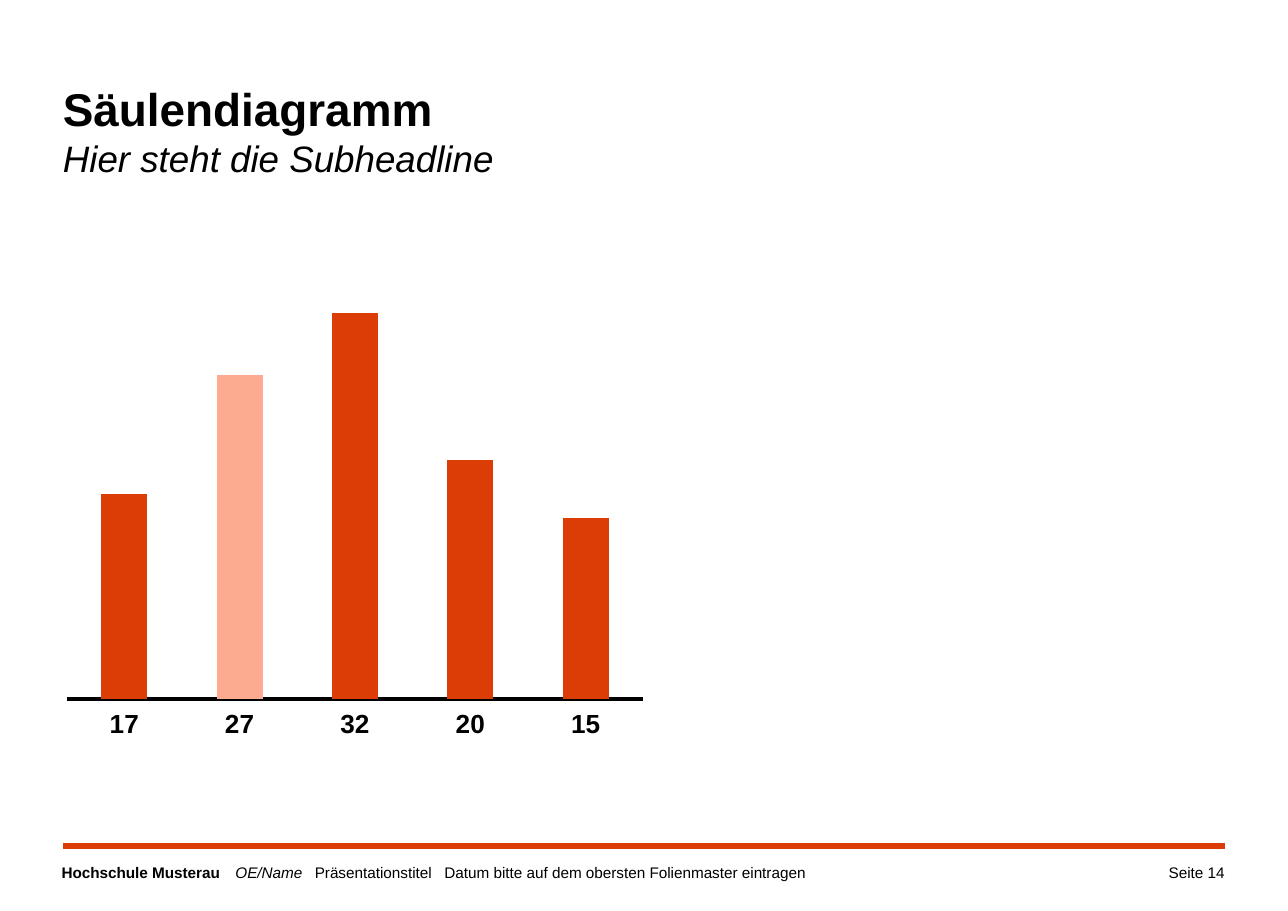
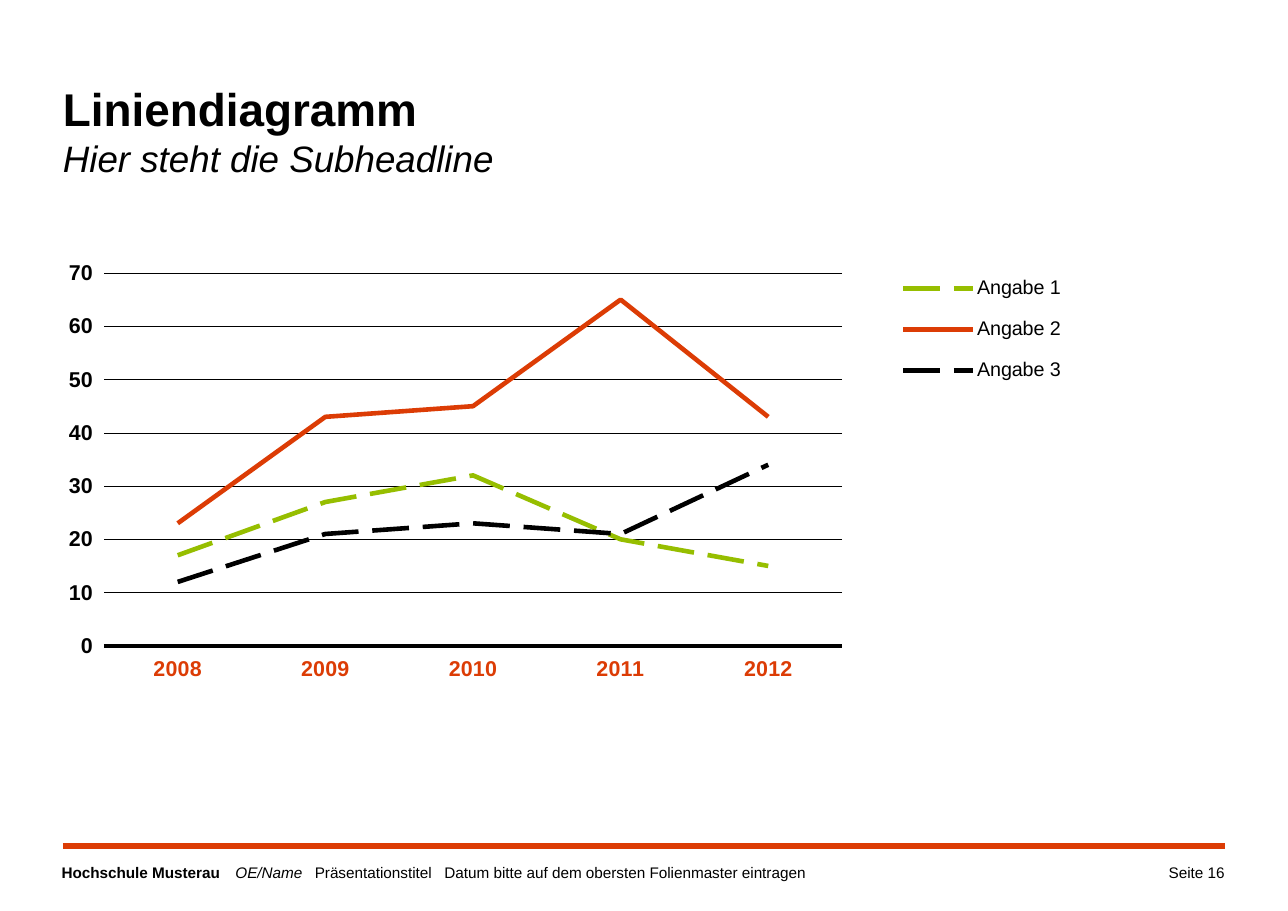
from lxml import etree
from pptx import Presentation
from pptx.chart.data import CategoryChartData as Data
from pptx.dml.color import RGBColor as Rgb
from pptx.enum.chart import XL_CHART_TYPE as Kind, XL_LEGEND_POSITION as Spot
from pptx.enum.chart import XL_TICK_LABEL_POSITION as Label, XL_TICK_MARK as Tick
from pptx.enum.dml import MSO_LINE as Dash
from pptx.enum.shapes import MSO_CONNECTOR as Link
from pptx.enum.text import MSO_ANCHOR as Anchor, MSO_AUTO_SIZE as Fit, PP_ALIGN as Align
from pptx.oxml.ns import qn
from pptx.util import Cm, Pt

INK = {"black": "000000", "red": "DC3C05", "pale": "FCAB90", "green": "96BE00"}
FONT = "Arial"
LEFT, RIGHT = 1.45, 28.24
FRAME = {"margin_left": 0, "margin_top": 0, "margin_right": 0, "margin_bottom": 0,
         "word_wrap": True, "auto_size": Fit.NONE, "vertical_anchor": Anchor.TOP}


def put(obj, **fmt):
    for key, value in fmt.items():
        setattr(obj, key, value)


def tint(name):
    return Rgb.from_string(INK[name])


def style(font, size, ink="black", bold=False, italic=False):
    put(font, name=FONT, size=Pt(size), bold=bold, italic=italic)
    font.color.rgb = tint(ink)


def stroke(line, ink, width, dash=None):
    line.color.rgb = tint(ink)
    put(line, width=Pt(width), dash_style=dash)


def write(para, text, size, **look):
    run = para.add_run()
    run.text = text
    style(run.font, size, **look)


def place(shape, x, y, w, h):
    put(shape, left=Cm(x), top=Cm(y), width=Cm(w), height=Cm(h))


def head(slide, title):
    shape = slide.shapes.title
    place(shape, LEFT, 1.85, RIGHT - LEFT, 2.64)
    put(shape.text_frame, **FRAME)
    para = shape.text_frame.paragraphs[0]
    put(para, alignment=Align.LEFT, line_spacing=1.0)
    write(para, title, 30, bold=True)
    para.add_line_break()
    write(para, "Hier steht die Subheadline", 24, italic=True)


def box(slide, x, w, align):
    frame = slide.shapes.add_textbox(Cm(x), Cm(19.91), Cm(w), Cm(0.62)).text_frame
    put(frame, **FRAME)
    para = frame.paragraphs[0]
    para.alignment = align
    return para


def stops(para, *spots):
    tabs = etree.SubElement(para._p.get_or_add_pPr(), qn("a:tabLst"))
    for spot in spots:
        etree.SubElement(tabs, qn("a:tab"), pos=str(Cm(spot)), algn="l")


def foot(slide, page):
    rule = slide.shapes.add_connector(
        Link.STRAIGHT, Cm(LEFT), Cm(19.51), Cm(RIGHT), Cm(19.51))
    stroke(rule.line, "red", 4)
    etree.SubElement(rule._element.spPr, qn("a:effectLst"))
    para = box(slide, 1.42, 21.44, Align.LEFT)
    stops(para, 4.01, 5.84, 8.83)
    write(para, "Hochschule Musterau\t", 10, bold=True)
    write(para, "OE/Name\t", 10, italic=True)
    write(para, "Präsentationstitel\tDatum bitte auf dem obersten Folienmaster eintragen", 10)
    write(box(slide, RIGHT - 3.4, 3.4, Align.RIGHT), f"Seite {page}", 10)


def fix(parent, index, area, inner=False):
    for old in parent.findall(qn("c:layout")):
        parent.remove(old)
    layout = etree.Element(qn("c:layout"))
    manual = etree.SubElement(layout, qn("c:manualLayout"))
    rows = [("layoutTarget", "inner")] if inner else []
    rows += [("xMode", "edge"), ("yMode", "edge"), *zip("xywh", area)]
    for tag, value in rows:
        etree.SubElement(manual, qn(f"c:{tag}"), val=str(value))
    parent.insert(index, layout)


def graph(slide, kind, spot, area, cats, rows, size, top, ink="black"):
    data = Data()
    data.categories = cats
    for name, values in rows:
        data.add_series(name, values)
    chart = slide.shapes.add_chart(kind, *map(Cm, spot), data).chart
    put(chart, has_title=False, has_legend=False)
    style(chart.font, size)
    chart.plots[0].vary_by_categories = False
    axis = chart.category_axis
    put(axis, major_tick_mark=Tick.NONE, minor_tick_mark=Tick.NONE,
        tick_label_position=Label.LOW, has_major_gridlines=False)
    style(axis.tick_labels.font, size, ink, bold=True)
    stroke(axis.format.line, "black", 3)
    put(chart.value_axis, minimum_scale=0, maximum_scale=top,
        has_major_gridlines=False)
    fix(chart._chartSpace.chart.plotArea, 0, area, inner=True)
    return chart


def bars(slide):
    chart = graph(slide, Kind.COLUMN_CLUSTERED, (1.19, 6.1, 13.94, 12.32),
                  (0.025, 0.026, 0.954, 0.787), ["17", "27", "32", "20", "15"],
                  [("Series 1", (53, 84, 100, 62, 47))], 17.1, 109)
    chart.value_axis.visible = False
    plot = chart.plots[0]
    plot.gap_width = 150
    row = plot.series[0]
    for item, ink in ((row, "red"), (row.points[1], "pale")):
        item.format.fill.solid()
        item.format.fill.fore_color.rgb = tint(ink)


def lines(slide):
    rows = [("Angabe 1", (17, 27, 32, 20, 15)),
            ("Angabe 2", (23, 43, 45, 65, 43)),
            ("Angabe 3", (12, 21, 23, 21, 34))]
    chart = graph(slide, Kind.LINE, (0.77, 5.08, 23.91, 10.95),
                  (0.068, 0.111, 0.712, 0.785),
                  [str(year) for year in range(2008, 2013)], rows, 14, 70, "red")
    chart.category_axis.tick_labels.offset = 0
    axis = chart.value_axis
    put(axis, major_unit=10, has_major_gridlines=True, major_tick_mark=Tick.OUTSIDE)
    style(axis.tick_labels.font, 14, bold=True)
    axis.format.line.fill.background()
    stroke(axis.major_gridlines.format.line, "black", 0.25)
    looks = (("green", Dash.LONG_DASH), ("red", None), ("black", Dash.LONG_DASH))
    for row, (ink, dash) in zip(chart.plots[0].series, looks):
        row.smooth = False
        stroke(row.format.line, ink, 3, dash)
    chart.has_legend = True
    put(chart.legend, position=Spot.RIGHT, include_in_layout=False)
    style(chart.legend.font, 12.9)
    fix(chart.legend._element, 1, (0.83, 0.08, 0.17, 0.3))


def main():
    deck = Presentation()
    put(deck, slide_width=Cm(29.7), slide_height=Cm(21))
    pages = (("Säulendiagramm", 14, bars), ("Liniendiagramm", 16, lines))
    for title, page, draw in pages:
        slide = deck.slides.add_slide(deck.slide_layouts[5])
        head(slide, title)
        foot(slide, page)
        draw(slide)
    deck.save("out.pptx")


if __name__ == "__main__":
    main()
